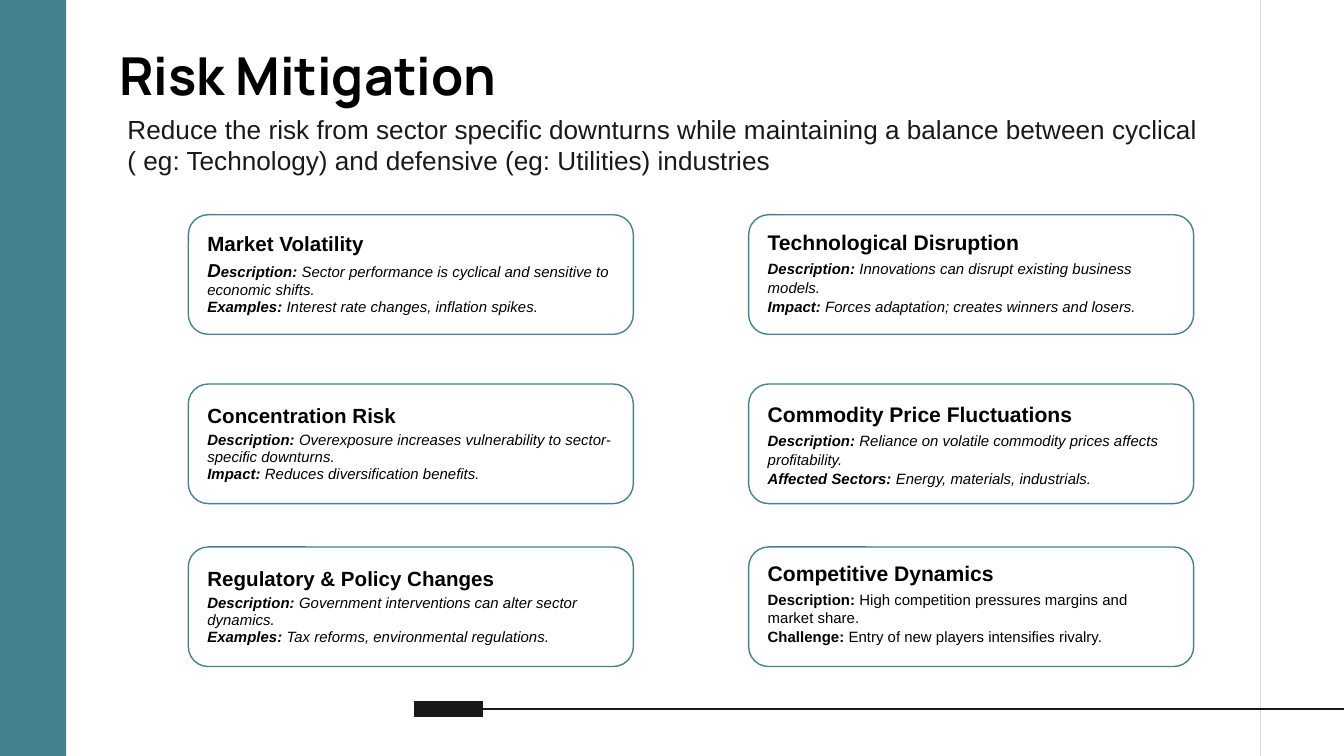
from lxml.etree import SubElement
from pptx import Presentation
from pptx.dml.color import RGBColor
from pptx.enum.shapes import MSO_CONNECTOR, MSO_SHAPE
from pptx.enum.text import MSO_ANCHOR, PP_ALIGN
from pptx.oxml.ns import qn
from pptx.util import Cm, Pt

TEAL, INK, BLACK, GREY = "45818E", "191919", "000000", "D9D9D9"
SLIDE_WIDTH, SLIDE_HEIGHT = 25.4, 14.29
CARD_WIDTH, CARD_HEIGHT = 8.41, 2.26
ROW_TOPS = (4.06, 7.26, 10.34)
INSET = 0.25

LEFT_COLUMN = dict(left=3.56, title_size=11, spacing=0.95)
RIGHT_COLUMN = dict(left=14.15, title_size=11.3, spacing=1.05)

# Column, row, title, labelled lines, extra card options
CARDS = [
    (LEFT_COLUMN, 0, "Market Volatility", [
        ("Description:", " Sector performance is cyclical and sensitive to economic shifts."),
        ("Examples:", " Interest rate changes, inflation spikes.")],
     dict(initial_size=10)),
    (LEFT_COLUMN, 1, "Concentration Risk", [
        ("Description:", " Overexposure increases vulnerability to sector-specific downturns."),
        ("Impact:", " Reduces diversification benefits.")], {}),
    (LEFT_COLUMN, 2, "Regulatory & Policy Changes", [
        ("Description:", " Government interventions can alter sector dynamics."),
        ("Examples:", " Tax reforms, environmental regulations.")], {}),
    (RIGHT_COLUMN, 0, "Technological Disruption", [
        ("Description:", " Innovations can disrupt existing business models."),
        ("Impact:", " Forces adaptation; creates winners and losers.")],
     dict(top_inset=0.15)),
    (RIGHT_COLUMN, 1, "Commodity Price Fluctuations", [
        ("Description:", " Reliance on volatile commodity prices affects profitability."),
        ("Affected Sectors:", " Energy, materials, industrials.")], {}),
    (RIGHT_COLUMN, 2, "Competitive Dynamics", [
        ("Description:", " High competition pressures margins and market share."),
        ("Challenge:", " Entry of new players intensifies rivalry.")],
     dict(top_inset=0.12, italic=False)),
]


def color(hex_code):
    return RGBColor.from_string(hex_code)


def add_text(paragraph, text, size=8, font="Arial", fill=BLACK, bold=False, italic=False):
    run = paragraph.add_run()
    run.text = text
    run.font.size = Pt(size)
    run.font.name = font
    run.font.color.rgb = color(fill)
    run.font.bold = bold
    run.font.italic = italic


def set_frame(shape, anchor, top_inset=INSET):
    frame = shape.text_frame
    frame.word_wrap = True
    frame.vertical_anchor = anchor
    frame.margin_left = frame.margin_right = frame.margin_bottom = Cm(INSET)
    frame.margin_top = Cm(top_inset)
    return frame


def add_text_box(slide, left, top, width, height, text, anchor=MSO_ANCHOR.TOP, **style):
    shape = slide.shapes.add_textbox(Cm(left), Cm(top), Cm(width), Cm(height))
    add_text(set_frame(shape, anchor).paragraphs[0], text, **style)


def add_line(slide, start, end, line_color, width):
    points = [Cm(value) for value in (*start, *end)]
    line = slide.shapes.add_connector(MSO_CONNECTOR.STRAIGHT, *points)
    line.line.color.rgb = color(line_color)
    line.line.width = Pt(width)
    SubElement(line._element.spPr, qn("a:effectLst"))


def add_side_band(slide):
    band = slide.shapes.add_shape(MSO_SHAPE.RECTANGLE, 0, 0, Cm(1.25), Cm(SLIDE_HEIGHT))
    band.shadow.inherit = False
    band.fill.solid()
    band.fill.fore_color.rgb = color(TEAL)
    band.line.fill.background()


def add_card(slide, left, top, title, lines, title_size, spacing,
             italic=True, initial_size=None, top_inset=None):
    """Add an outlined card; a given top_inset anchors its text to the top."""
    card = slide.shapes.add_shape(MSO_SHAPE.ROUNDED_RECTANGLE, Cm(left), Cm(top),
                                  Cm(CARD_WIDTH), Cm(CARD_HEIGHT))
    card.shadow.inherit = False
    card.fill.background()
    card.line.color.rgb = color(TEAL)
    card.line.width = Pt(0.75)
    if top_inset is None:
        frame = set_frame(card, MSO_ANCHOR.MIDDLE)
    else:
        frame = set_frame(card, MSO_ANCHOR.TOP, top_inset)

    add_text(frame.paragraphs[0], title, size=title_size, bold=True)
    for index, (label, text) in enumerate(lines):
        paragraph = frame.add_paragraph()
        if index == 0:
            paragraph.space_before = Pt(2)
            if initial_size:
                add_text(paragraph, label[0], size=initial_size, bold=True, italic=italic)
                label = label[1:]
        add_text(paragraph, label, bold=True, italic=italic)
        add_text(paragraph, text, italic=italic)
    for paragraph in frame.paragraphs:
        paragraph.alignment = PP_ALIGN.LEFT
        paragraph.line_spacing = spacing


def main():
    presentation = Presentation()
    presentation.slide_width = Cm(SLIDE_WIDTH)
    presentation.slide_height = Cm(SLIDE_HEIGHT)
    slide = presentation.slides.add_slide(presentation.slide_layouts[6])

    add_side_band(slide)
    add_line(slide, (23.82, 0), (23.82, SLIDE_HEIGHT), GREY, 0.75)
    add_line(slide, (7.82, 13.4), (9.13, 13.4), INK, 9)
    add_line(slide, (9.13, 13.4), (SLIDE_WIDTH, 13.4), INK, 0.75)

    add_text_box(slide, 2.01, 0.56, 21.41, 1.6, "Risk Mitigation",
                 size=28, font="Manrope", bold=True)
    add_text_box(slide, 2.16, 2.16, 21.23, 1.42,
                 "Reduce the risk from sector specific downturns while maintaining a balance "
                 "between cyclical ( eg: Technology) and defensive (eg: Utilities) industries",
                 anchor=MSO_ANCHOR.BOTTOM, size=14, fill=INK)

    for column, row, title, lines, options in CARDS:
        add_card(slide, top=ROW_TOPS[row], title=title, lines=lines, **column, **options)

    presentation.save("out.pptx")


if __name__ == "__main__":
    main()
